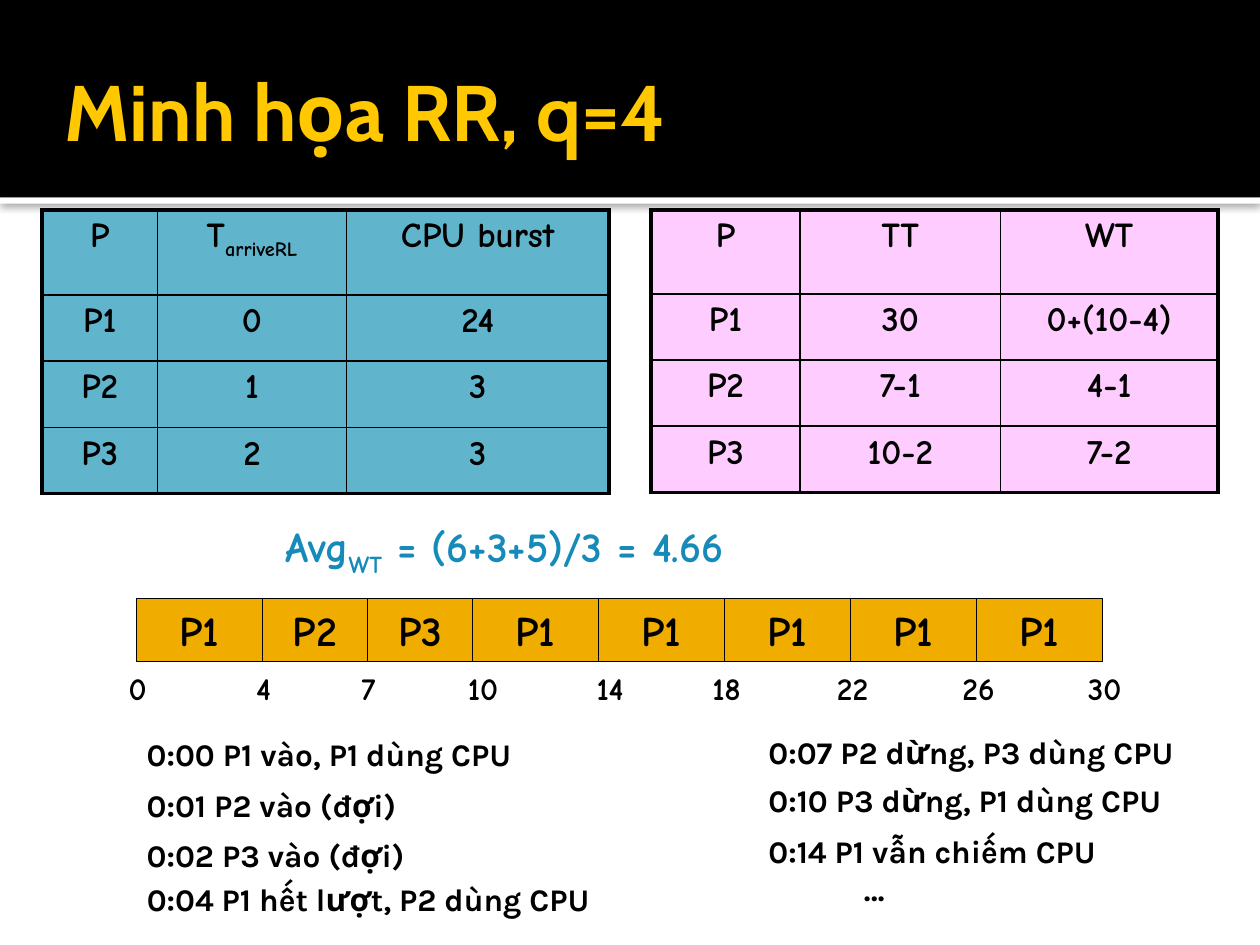
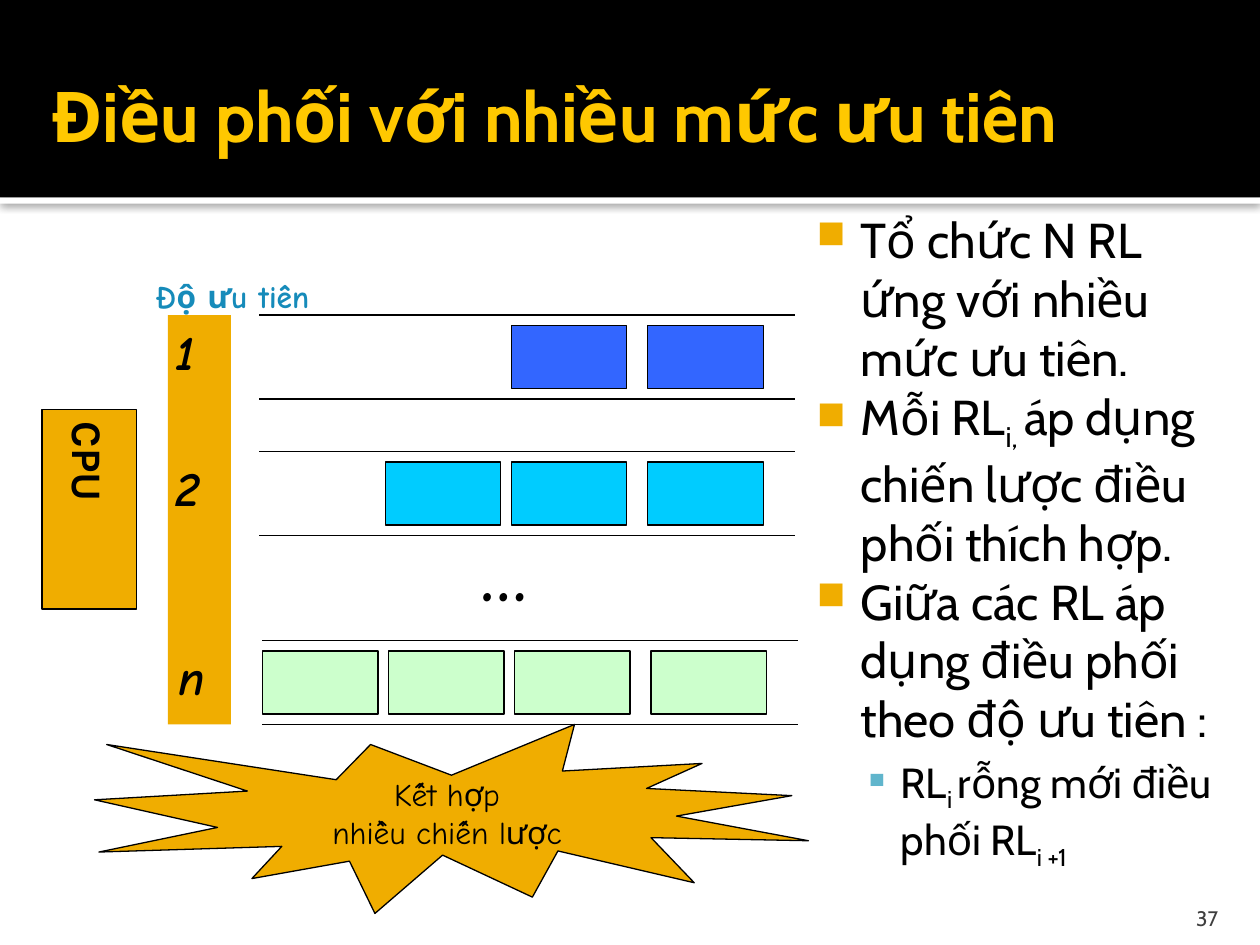
import pptx
import pptx.util
import pptx.dml.color
import pptx.enum.shapes
import pptx.enum.text
import pptx.oxml
import lxml.etree
from pptx.oxml.ns import qn

PX = 7620  # EMU per px, 120 px to the inch
COLORS = {
    "black": "000000", "white": "FFFFFF", "title": "FFC800", "amber": "F0AD00",
    "teal": "60B5CC", "pink": "FFCCFF", "accent": "168BBA", "gray": "3F3F3F",
    "blue": "3366FF", "cyan": "00CCFF", "green": "CCFFCC",
}
HEADING, COMIC, NOTE = "Cabin", "Comic Neue", "Karla"
SHAPES = pptx.enum.shapes.MSO_SHAPE
ANCHOR = pptx.enum.text.MSO_ANCHOR
CENTER = pptx.enum.text.PP_ALIGN.CENTER
RIGHT = pptx.enum.text.PP_ALIGN.RIGHT


def write(paragraph, text, size, font=COMIC, color="black", bold=True, italic=False, align=None):
    """Write text into a paragraph; parts between bars are subscripts."""
    if "|" in text:
        for index, part in enumerate(text.split("|")):
            run = paragraph.add_run()
            run.text = part
            if index % 2:
                run._r.get_or_add_rPr().set("baseline", "-25000")
    else:
        paragraph.text = text
    paragraph.alignment = align
    paragraph.font.size = pptx.util.Pt(size)
    paragraph.font.name = font
    paragraph.font.bold = bold
    paragraph.font.italic = italic
    paragraph.font.color.rgb = pptx.dml.color.RGBColor.from_string(COLORS[color])


def add_box(slide, x, y, width, height, fill=None, outline=True, kind=SHAPES.RECTANGLE, wrap=False):
    """Add a filled shape, or a text box when there is no fill."""
    place = [length * PX for length in (x, y, width, height)]
    if fill:
        shape = slide.shapes.add_shape(kind, *place)
        shape.shadow.inherit = False
        shape.fill.solid()
        shape.fill.fore_color.rgb = pptx.dml.color.RGBColor.from_string(COLORS[fill])
        if outline:
            shape.line.width = pptx.util.Pt(0.75)
            shape.line.color.rgb = pptx.dml.color.RGBColor.from_string(COLORS["black"])
        else:
            shape.line.fill.background()
        shape.text_frame.vertical_anchor = ANCHOR.MIDDLE
    else:
        shape = slide.shapes.add_textbox(*place)
        shape.text_frame.auto_size = pptx.enum.text.MSO_AUTO_SIZE.SHAPE_TO_FIT_TEXT
    shape.text_frame.word_wrap = wrap
    return shape


presentation = pptx.Presentation()
presentation.slide_width = 1200 * PX
presentation.slide_height = 900 * PX

# Bands and titles of both slides
titles = [
    ("Minh họa RR, q=4", 45, (50, 30, 980, 150)),
    ("Điều phối với nhiều mức ưu tiên", 40, (37, 68, 1023, 82)),
]
for text, size, place in titles:
    slide = presentation.slides.add_slide(presentation.slide_layouts[6])
    stripe = add_box(slide, 0, 188, 1200, 6, "white", outline=False)
    effects = stripe._element.spPr.find(qn("a:effectLst"))
    shadow = lxml.etree.SubElement(effects, qn("a:outerShdw"), blurRad="63500", dist="10160",
                                   dir="5400000", algn="tl", rotWithShape="0")
    shadow_color = lxml.etree.SubElement(shadow, qn("a:srgbClr"), val=COLORS["black"])
    lxml.etree.SubElement(shadow_color, qn("a:alpha"), val="60000")
    add_box(slide, 0, 0, 1200, 188, "black", outline=False)
    frame = add_box(slide, *place, wrap=True).text_frame
    frame.auto_size = pptx.enum.text.MSO_AUTO_SIZE.NONE
    frame.vertical_anchor = ANCHOR.MIDDLE
    frame.margin_right = 6 * PX
    write(frame.paragraphs[0], text, size, HEADING, "title")
round_robin, priorities = presentation.slides

# Process tables: thick outer border, thin inner lines
tables = [
    (40, "teal", (110, 180, 250), 81, [
        ("P", "T|arriveRL", "CPU burst"),
        ("P1", "0", "24"), ("P2", "1", "3"), ("P3", "2", "3")]),
    (620, "pink", (142, 191, 207), 80, [
        ("P", "TT", "WT"),
        ("P1", "30", "0+(10-4)"), ("P2", "7-1", "4-1"), ("P3", "10-2", "7-2")]),
]
for left, fill, widths, header_height, rows in tables:
    table = round_robin.shapes.add_table(len(rows), len(widths), left * PX, 200 * PX, sum(widths) * PX,
                                         (header_height + 63 * 3) * PX).table
    table.first_row = table.horz_banding = False
    for column, width in zip(table.columns, widths):
        column.width = width * PX
    for r, values in enumerate(rows):
        table.rows[r].height = (63 if r else header_height) * PX
        for c, value in enumerate(values):
            cell = table.cell(r, c)
            outer = {"lnL": c == 0, "lnR": c == len(widths) - 1, "lnT": r == 0, "lnB": r == len(rows) - 1}
            for side, thick in outer.items():
                border = lxml.etree.SubElement(cell._tc.get_or_add_tcPr(), qn("a:" + side),
                                               w="28575" if thick else "12700")
                paint = lxml.etree.SubElement(border, qn("a:solidFill"))
                lxml.etree.SubElement(paint, qn("a:srgbClr"), val=COLORS["black"])
            cell.fill.solid()
            cell.fill.fore_color.rgb = pptx.dml.color.RGBColor.from_string(COLORS[fill])
            paragraph = cell.text_frame.paragraphs[0]
            paragraph.space_before = pptx.util.Pt(4)
            write(paragraph, value, 20, align=CENTER)

# Average waiting time
average = add_box(round_robin, 260, 490, 640, 60, wrap=True)
write(average.text_frame.paragraphs[0], "Avg|WT| = (6+3+5)/3 = 4.66", 24, color="accent")

# Gantt chart with its time marks
left = 130
for process in ["P1", "P2", "P3", "P1", "P1", "P1", "P1", "P1"]:
    width = 120 if process == "P1" else 100
    bar = add_box(round_robin, left, 570, width, 60, "amber")
    write(bar.text_frame.paragraphs[0], process, 24, align=CENTER)
    left += width
time_marks = {0: 131, 4: 251, 7: 351, 10: 460, 14: 581, 18: 692, 22: 812, 26: 932, 30: 1052}
for time, middle in time_marks.items():
    width = 42 if time < 10 else 62
    mark = add_box(round_robin, middle - width // 2, 631, width, 48)
    write(mark.text_frame.paragraphs[0], str(time), 18, align=CENTER)

# Event log in two columns
events = [
    (128, 694, 415, "0:00 P1 vào, P1 dùng CPU"),
    (128, 743, 286, "0:01 P2 vào (đợi)"),
    (128, 790, 286, "0:02 P3 vào (đợi)"),
    (128, 832, 481, "0:04 P1 hết lượt, P2 dùng CPU"),
    (720, 692, 440, "0:07 P2 dừng, P3 dùng CPU"),
    (720, 738, 440, "0:10 P3 dừng, P1 dùng CPU"),
    (720, 787, 373, "0:14 P1 vẫn chiếm CPU"),
]
for x, y, width, text in events:
    event = add_box(round_robin, x, y, width, 48)
    write(event.text_frame.paragraphs[0], text, 18, NOTE)
event.height = 84 * PX
more = event.text_frame.add_paragraph()
write(more, "…", 18, NOTE)
more._p.get_or_add_pPr().set("marL", str(91 * PX))

# Slide number
number = add_box(priorities, 1076, 850, 96, 36, wrap=True).text_frame
number.auto_size = pptx.enum.text.MSO_AUTO_SIZE.NONE
number.vertical_anchor = ANCHOR.BOTTOM
number.margin_bottom = 0
write(number.paragraphs[0], "37", 12, HEADING, "gray", bold=False, align=RIGHT)

# Bulleted explanation
body = add_box(priorities, 750, 188, 420, 635, wrap=True).text_frame
body.auto_size = pptx.enum.text.MSO_AUTO_SIZE.NONE
body.margin_top = 12 * PX
main_bullet = (28, 58, 42, "■", "amber", 80)
sub_bullet = (24, 96, 36, "▪", "teal", 90)
points = [
    (main_bullet, "Tổ chức N RL ứng với nhiều mức ưu tiên."),
    (main_bullet, "Mỗi RL|i, |áp dụng chiến lược điều phối thích hợp."),
    (main_bullet, "Giữa các RL áp dụng điều phối theo độ ưu tiên :"),
    (sub_bullet, "RL|i |rỗng mới điều phối RL|i +1"),
]
for index, ((size, margin, hanging, symbol, color, percent), text) in enumerate(points):
    paragraph = body.add_paragraph() if index else body.paragraphs[0]
    properties = paragraph._p.get_or_add_pPr()
    properties.set("marL", str(margin * PX))
    properties.set("indent", str(-hanging * PX))
    if symbol == "▪":
        paragraph.space_before = pptx.util.Pt(5)
    bullet_color = lxml.etree.SubElement(properties, qn("a:buClr"))
    lxml.etree.SubElement(bullet_color, qn("a:srgbClr"), val=COLORS[color])
    lxml.etree.SubElement(properties, qn("a:buSzPct"), val=str(percent * 1000))
    lxml.etree.SubElement(properties, qn("a:buChar"), char=symbol)
    write(paragraph, text, size, HEADING, bold=False)

# Priority bar and its caption
add_box(priorities, 160, 300, 60, 390, "amber", outline=False)
caption = add_box(priorities, 136, 258, 192, 52)
write(caption.text_frame.paragraphs[0], "Độ ưu tiên", 18, color="accent")

# Ready queues, filled from the right
slots = [0, 120, 240, 370]
queues = [("1", 247, 300, "blue", 2), ("2", 247, 430, "cyan", 3), ("n", 250, 610, "green", 4)]
for label, left, top, color, jobs in queues:
    for y in (top, top + 80):
        line = priorities.shapes.add_connector(pptx.enum.shapes.MSO_CONNECTOR.STRAIGHT,
                                               left * PX, y * PX, (left + 510) * PX, y * PX)
        line.line.width = pptx.util.Pt(0.75)
        line.line.color.rgb = pptx.dml.color.RGBColor.from_string(COLORS["black"])
        lxml.etree.SubElement(line._element.spPr, qn("a:effectLst"))
    for slot in slots[-jobs:]:
        add_box(priorities, left + slot, top + 10, 110, 60, color)
    level = add_box(priorities, left - 92, top, 50, 68)
    write(level.text_frame.paragraphs[0], label, 28, italic=True)
gap = add_box(priorities, 446, 500, 70, 92)
write(gap.text_frame.paragraphs[0], "…", 40)

# CPU and the conclusion burst
cpu = add_box(priorities, 40, 390, 90, 190, "amber")
cpu.text_frame._txBody.bodyPr.set("vert", "eaVert")
write(cpu.text_frame.paragraphs[0], "CPU", 24, NOTE, align=CENTER)
burst = add_box(priorities, 90, 690, 680, 180, "amber", kind=SHAPES.EXPLOSION1)
write(burst.text_frame.paragraphs[0], "Kết hợp\vnhiều chiến lược", 18, bold=False, align=CENTER)

presentation.save("out.pptx")
